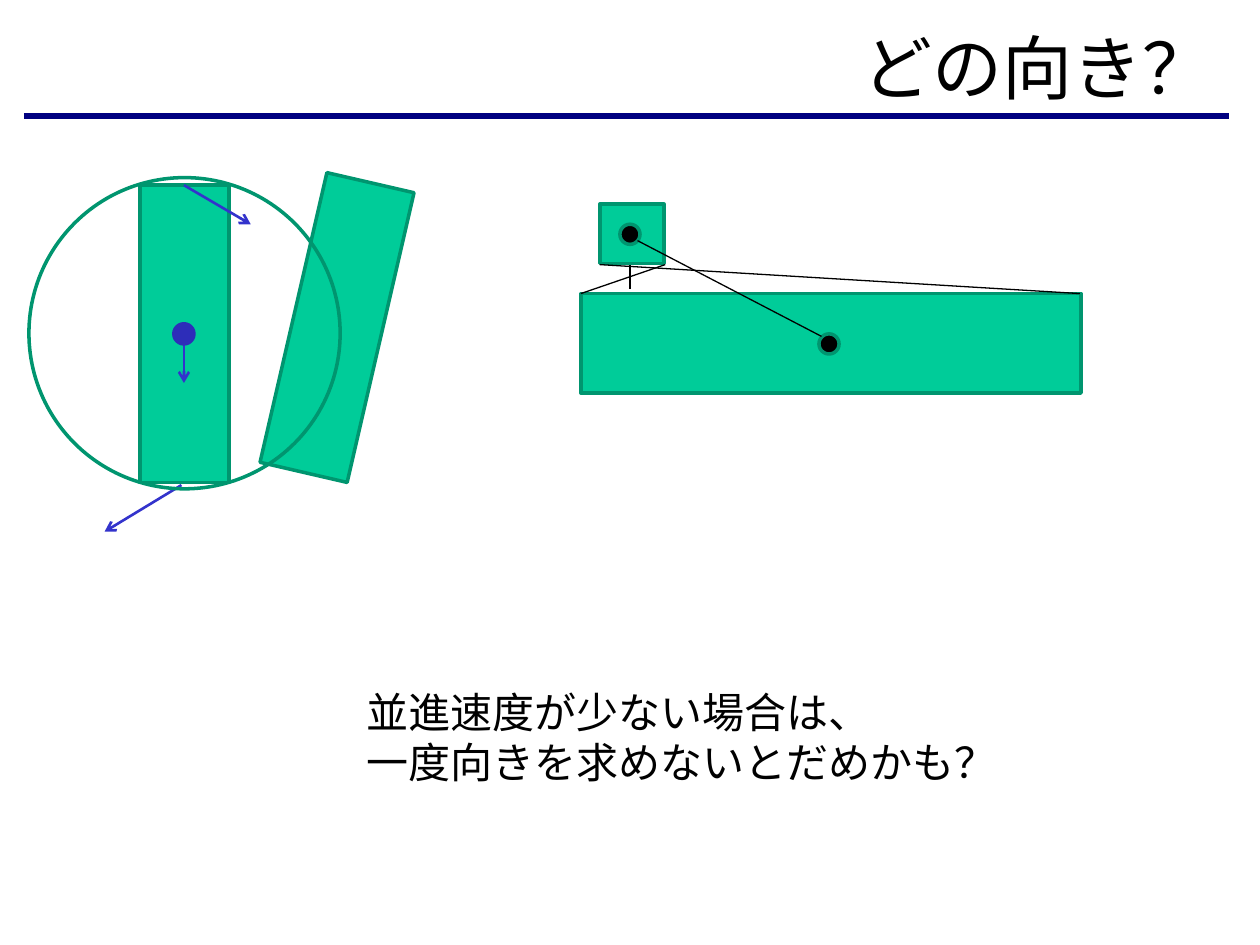
from lxml.etree import SubElement
from pptx import Presentation
from pptx.dml.color import RGBColor
from pptx.enum.shapes import MSO_CONNECTOR, MSO_SHAPE as Kind
from pptx.enum.text import MSO_ANCHOR, PP_ALIGN
from pptx.oxml.ns import qn
from pptx.util import Pt

PX = 9144  # 100 px to the inch
NAVY = RGBColor(0x00, 0x00, 0x80)
GREEN = RGBColor(0x00, 0xCC, 0x99)
EDGE = RGBColor(0x00, 0x95, 0x6F)
BLUE = RGBColor(0x33, 0x33, 0xCC)
DEEP = RGBColor(0x2D, 0x2D, 0xB9)
BLACK = RGBColor(0x00, 0x00, 0x00)

deck = Presentation()
deck.slide_width, deck.slide_height = 1000 * PX, 750 * PX
slide = deck.slides.add_slide(deck.slide_layouts[6])
shapes = slide.shapes


def add_form(kind, box, fill, edge=EDGE, turn=0):
    form = shapes.add_shape(kind, *[n * PX for n in box])
    form.shadow.inherit = False
    form.rotation = turn
    if fill is None:
        form.fill.background()
    else:
        form.fill.solid()
        form.fill.fore_color.rgb = fill
    form.line.color.rgb = edge
    form.line.width = Pt(2)


def add_line(ends, color, width, arrow=False):
    line = shapes.add_connector(MSO_CONNECTOR.STRAIGHT, *[n * PX for n in ends])
    line.line.color.rgb = color
    line.line.width = Pt(width)
    if arrow:
        SubElement(line.line._get_or_add_ln(), qn("a:tailEnd"), type="arrow")
    SubElement(line._element.spPr, qn("a:effectLst"))


# Title rule, then the two boxes on the right
add_line((19, 92, 975, 92), NAVY, 3)
for box in [(461, 233, 397, 79), (476, 162, 51, 47)]:
    add_form(Kind.RECTANGLE, box, GREEN)

# Turning bar with its velocities
add_form(Kind.RECTANGLE, (232, 142, 71, 236), GREEN, turn=13)
add_form(Kind.RECTANGLE, (111, 147, 71, 236), GREEN)
for ends in [(146, 273, 146, 304), (144, 385, 83, 422), (146, 147, 199, 178)]:
    add_line(ends, BLUE, 1.5, arrow=True)
add_form(Kind.OVAL, (138, 257, 16, 16), DEEP, DEEP)
add_form(Kind.OVAL, (23, 141, 247, 247), None)

# Box centres and the lines between the boxes
for x, y in [(492, 178), (650, 265)]:
    add_form(Kind.OVAL, (x, y, 16, 16), BLACK)
for ends in [(652, 267, 506, 191), (461, 233, 528, 210),
             (500, 229, 500, 210), (857, 233, 476, 210)]:
    add_line(ends, BLACK, 0.75)

# Title and remark
texts = [
    ((102, 17, 870, 72), 40, PP_ALIGN.RIGHT, MSO_ANCHOR.MIDDLE, True,
     ["どの向き？"]),
    ((281, 540, 520, 90), 24, PP_ALIGN.LEFT, MSO_ANCHOR.TOP, False,
     ["並進速度が少ない場合は、", "一度向きを求めないとだめかも？"]),
]
for box, size, align, anchor, wrap, rows in texts:
    frame = shapes.add_textbox(*[n * PX for n in box]).text_frame
    frame.word_wrap = wrap
    frame.vertical_anchor = anchor
    frame.text = "\n".join(rows)
    for para in frame.paragraphs:
        para.alignment = align
        para.font.name = "Times New Roman"
        para.font.size = Pt(size)
        para.font.color.rgb = BLACK

deck.save("out.pptx")
